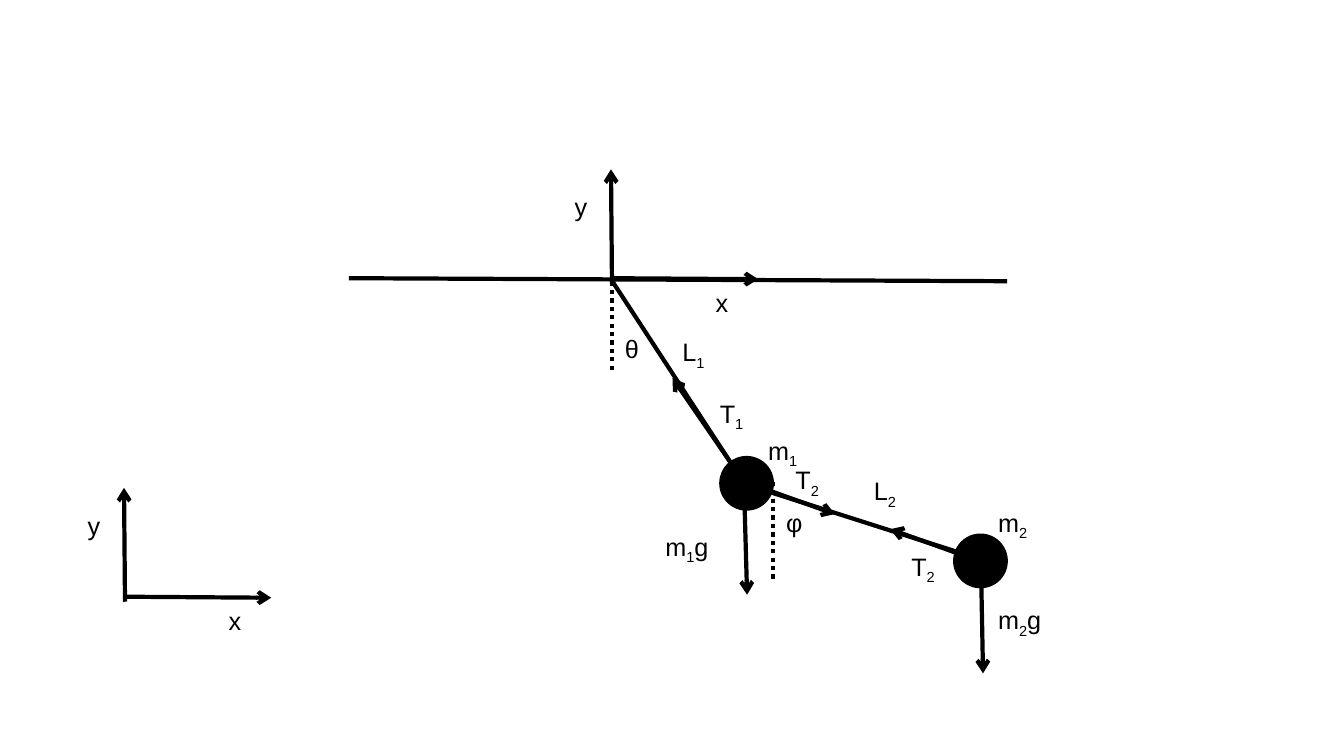
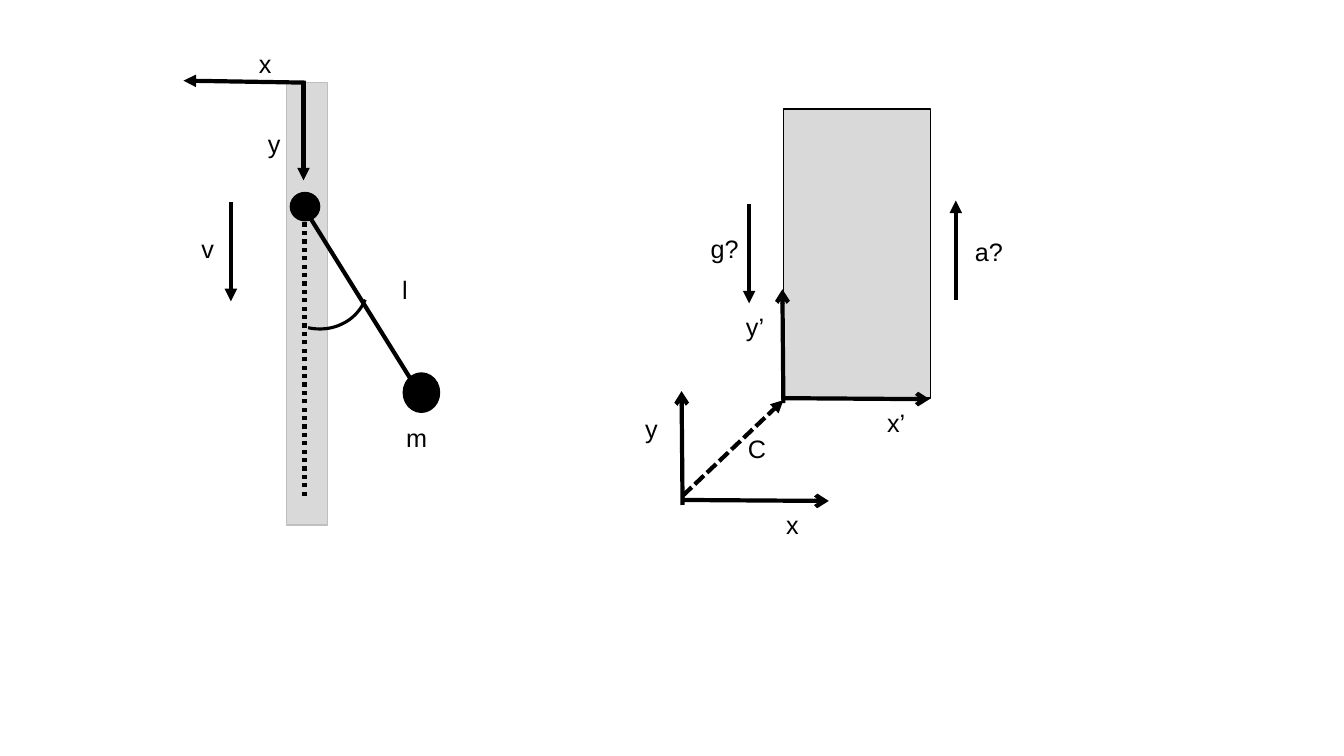
from lxml import etree
from pptx import Presentation
from pptx.dml.color import RGBColor
from pptx.enum.dml import MSO_LINE
from pptx.enum.shapes import MSO_CONNECTOR, MSO_SHAPE
from pptx.enum.text import MSO_AUTO_SIZE
from pptx.oxml.ns import qn
from pptx.util import Inches, Pt

COLORS = {"ink": "000000", "panel": "D9D9D9", "panel_edge": "BFBFBF"}
FONT = "Arial"
STRAIGHT = MSO_CONNECTOR.STRAIGHT
ELLIPSE = MSO_SHAPE.OVAL
RECT = MSO_SHAPE.RECTANGLE
SLANTED = MSO_SHAPE.PARALLELOGRAM
ARC = MSO_SHAPE.ARC
FIT = MSO_AUTO_SIZE.SHAPE_TO_FIT_TEXT
DOTTED = MSO_LINE.ROUND_DOT
DASHED = MSO_LINE.SQUARE_DOT


def color(name):
    return RGBColor.from_string(COLORS[name])


def add_group(prs):
    s = prs.slides.add_slide(prs.slide_layouts[6])
    return s, s.shapes.add_group_shape()


def add_line(g, start, end, tip=None, dash=None):
    line = g.shapes.add_connector(STRAIGHT, *map(Inches, start + end))
    line.line.color.rgb = color("ink")
    line.line.width = Pt(3)
    if dash:
        line.line.dash_style = dash
    spPr = line._element.spPr
    if tip:
        etree.SubElement(spPr.find(qn("a:ln")), qn("a:tailEnd"), type=tip)
    etree.SubElement(spPr, qn("a:effectLst"))


def add_figure(g, kind, box, fill=None, edge="ink", width=1):
    sp = g.shapes.add_shape(kind, *map(Inches, box))
    sp.shadow.inherit = False
    if fill:
        sp.fill.solid()
        sp.fill.fore_color.rgb = color(fill)
    else:
        sp.fill.background()
    sp.line.color.rgb = color(edge)
    sp.line.width = Pt(width)
    return sp


def add_ball(g, x, y, width, height):
    add_figure(g, ELLIPSE, (x, y, width, height), "ink")


def add_label(g, x, y, width, base, sub="", rest=""):
    tf = g.shapes.add_textbox(*map(Inches, (x, y, width, 0.4))).text_frame
    tf.word_wrap = False
    tf.auto_size = FIT
    p = tf.paragraphs[0]
    for text in filter(None, (base, sub, rest)):
        r = p.add_run()
        r.text = text
        r.font.name = FONT
        r.font.size = Pt(18)
        r.font.color.rgb = color("ink")
    if sub:
        p.runs[1]._r.get_or_add_rPr().set("baseline", "-25000")


def add_axes(g, x, y, prime="", width=0.33):
    add_line(g, (x, y - 0.01), (x + 1.46, y), "arrow")
    add_line(g, (x + 0.01, y + 0.04), (x, y - 1.09), "arrow")
    add_label(g, x + 0.94, y + 0.03, width, "x" + prime)
    add_label(g, x - 0.46, y - 0.92, width, "y" + prime)


def build_double_pendulum(prs):
    s, g = add_group(prs)
    add_line(g, (3.46, 2.76), (9.99, 2.79))
    for x, y in ((7.14, 4.53), (9.46, 5.3)):
        add_ball(g, x, y, 0.53, 0.53)
    for start, end in (((6.06, 2.77), (7.41, 4.84)), ((7.41, 4.81), (9.73, 5.55))):
        add_line(g, start, end)
    forces = (
        ((7.38, 4.84), (7.41, 5.9)),
        ((9.73, 5.63), (9.75, 6.68)),
        ((7.35, 4.74), (6.67, 3.75)),
        ((9.72, 5.57), (8.83, 5.25)),
        ((7.39, 4.78), (8.28, 5.1)),
    )
    for start, end in forces:
        add_line(g, start, end, "arrow")
    for x, top, bottom in ((6.07, 2.71, 3.69), (7.67, 4.78, 5.75)):
        add_line(g, (x, top), (x, bottom), dash=DOTTED)
    labels = (
        (6.67, 3.29, 0.44, "L", "1"),
        (8.57, 4.67, 0.44, "L", "2"),
        (7.52, 4.27, 0.51, "m", "1"),
        (9.8, 4.98, 0.51, "m", "2"),
        (6.5, 5.22, 0.65, "m", "1", "g"),
        (9.8, 5.95, 0.65, "m", "2", "g"),
        (7.04, 3.9, 0.45, "T", "1"),
        (8.94, 5.42, 0.45, "T", "2"),
        (7.79, 4.56, 0.45, "T", "2"),
        (6.1, 3.26, 0.34, "θ"),
        (7.7, 4.98, 0.36, "φ"),
    )
    for label in labels:
        add_label(g, *label)
    add_axes(g, 6.06, 2.77)
    add_axes(s.shapes.add_group_shape(), 1.23, 5.93)


def add_sliding_pendulum(g):
    rail = add_figure(g, SLANTED, (2.84, 0.82, 0.41, 4.39), "panel", "panel_edge")
    rail.adjustments[0] = 0
    add_ball(g, 2.88, 1.91, 0.29, 0.28)
    add_line(g, (3.02, 4.92), (3.02, 2.05), dash=DOTTED)
    angle = add_figure(g, ARC, (2.67, 2.27, 0.96, 1.02), width=2.25)
    angle.adjustments[0] = 162
    angle.adjustments[1] = 209.39
    angle.rotation = 112.3
    add_ball(g, 4, 3.7, 0.36, 0.39)
    add_line(g, (4.16, 3.9), (3.02, 2.07))
    for start, end in (
        ((3.01, 0.8), (3.01, 1.79)),
        ((3.03, 0.82), (1.82, 0.8)),
        ((2.29, 2), (2.29, 2.99)),
    ):
        add_line(g, start, end, "triangle")
    for label in (
        (3.89, 2.67, 0.26, "l"),
        (2.56, 1.22, 0.33, "y"),
        (2.47, 0.43, 0.33, "x"),
        (1.9, 2.27, 0.33, "v"),
        (3.93, 4.14, 0.41, "m"),
    ):
        add_label(g, *label)


def add_moving_frame(g):
    add_figure(g, RECT, (7.77, 1.08, 1.46, 2.87), "panel")
    add_line(g, (7.43, 2.02), (7.43, 3.01), "triangle")
    add_line(g, (9.48, 2.98), (9.48, 1.99), "triangle")
    add_axes(g, 6.76, 4.97)
    add_axes(g, 7.76, 3.96, "’", 0.38)
    add_line(g, (6.77, 4.92), (7.77, 3.97), "triangle", DASHED)
    add_label(g, 6.95, 2.27, 0.48, "g?")
    add_label(g, 9.57, 2.3, 0.48, "a?")
    add_label(g, 7.32, 4.25, 0.38, "C")


def build_reference_frames(prs):
    s, g = add_group(prs)
    add_sliding_pendulum(g)
    add_moving_frame(s.shapes.add_group_shape())


def main():
    prs = Presentation()
    prs.slide_width = Inches(13.33)
    prs.slide_height = Inches(7.5)
    build_double_pendulum(prs)
    build_reference_frames(prs)
    prs.save("out.pptx")


main()
